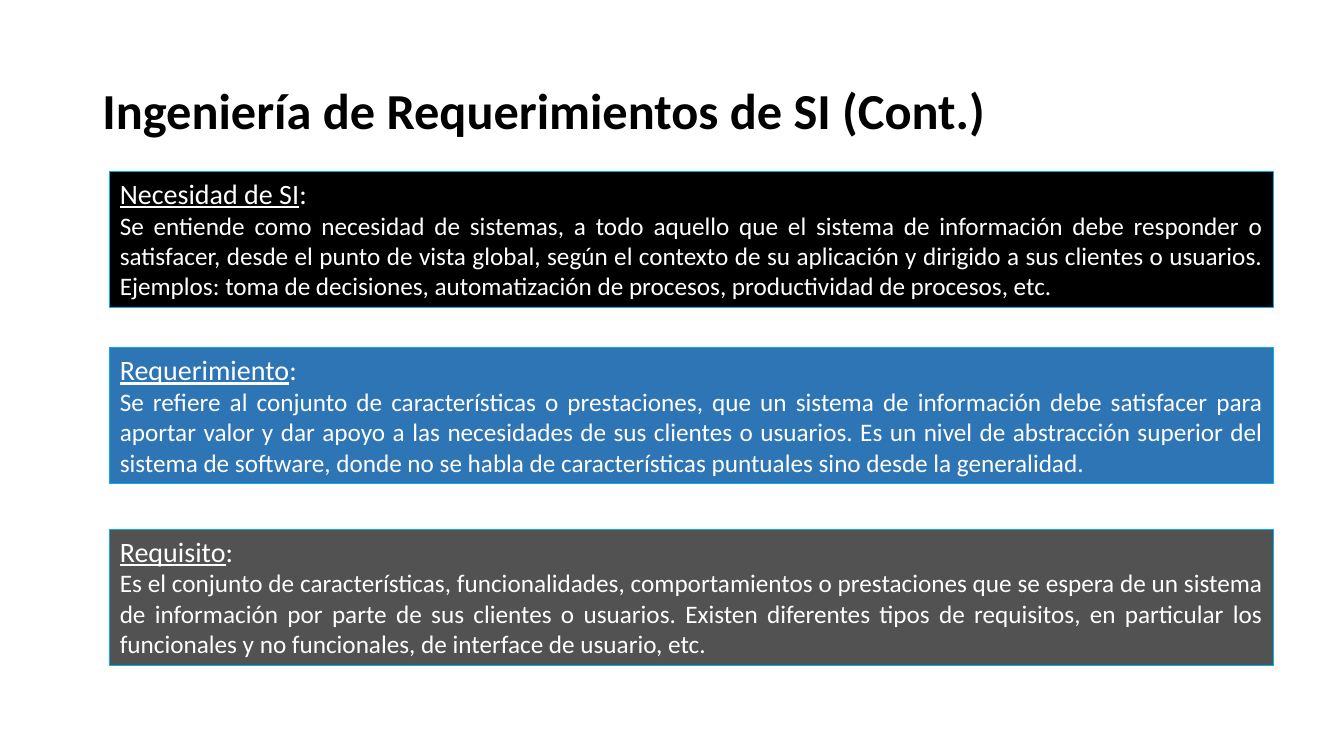
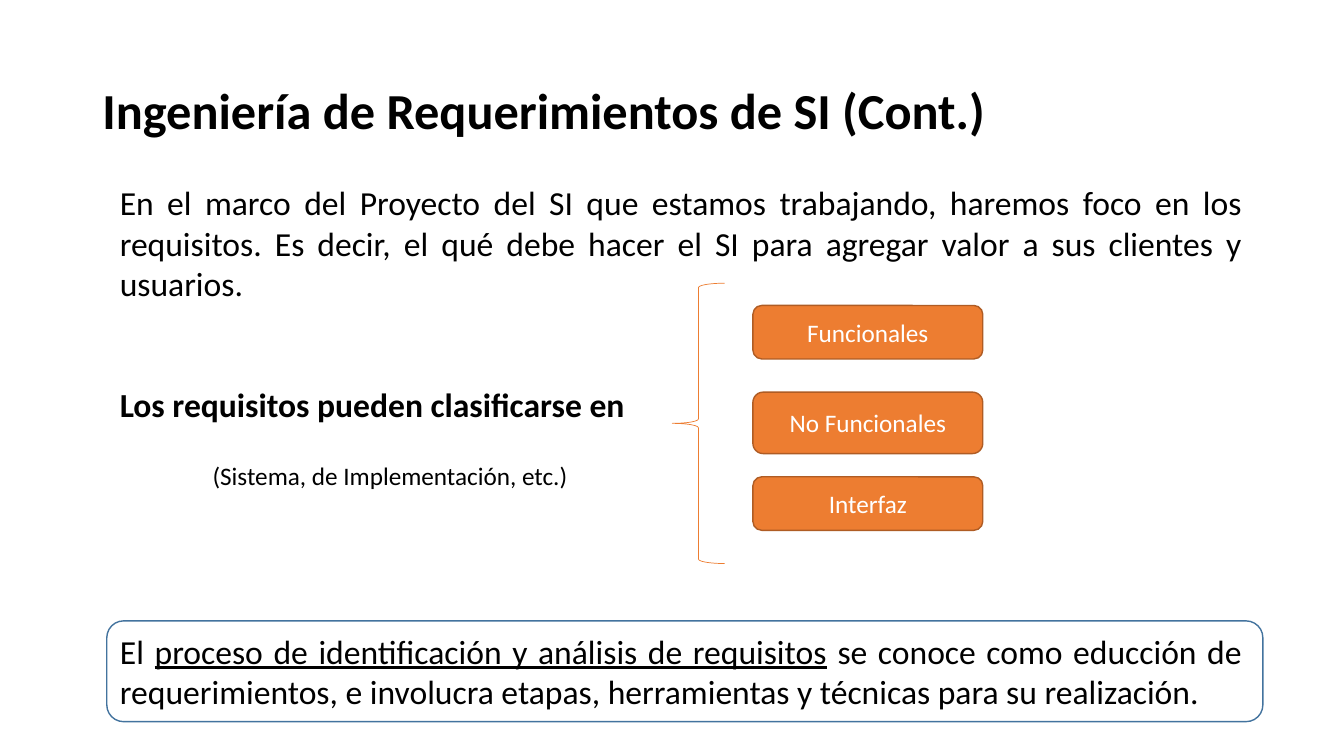
from dataclasses import dataclass

import pptx
import pptx.dml.color
import pptx.enum.shapes
import pptx.enum.text
import pptx.presentation
import pptx.shapes.autoshape
import pptx.slide
import pptx.util

Pt = pptx.util.Pt
ALIGN = pptx.enum.text.PP_ALIGN
ANCHOR = pptx.enum.text.MSO_ANCHOR
SHAPE = pptx.enum.shapes.MSO_SHAPE

FONT = "Calibri"
TITLE = "Ingeniería de Requerimientos de SI (Cont.)"
BLACK, WHITE = "000000", "FFFFFF"
BLUE, GRAY, CYAN = "2E75B6", "525252", "00B0F0"
ORANGE, RUST, STEEL = "ED7D31", "AF5C24", "43739E"


@dataclass(frozen=True)
class Box:
    left: float
    top: float
    width: float
    height: float


@dataclass(frozen=True)
class Run:
    text: str
    underline: bool = False


@dataclass(frozen=True)
class Para:
    runs: tuple[Run, ...]
    size: float
    color: str = BLACK
    align: ALIGN = ALIGN.JUSTIFY
    bold: bool = False


@dataclass(frozen=True)
class Definition:
    term: str
    text: str
    fill: str
    top: float


@dataclass(frozen=True)
class Category:
    label: str
    top: float
    height: float


DEFINITIONS = (
    Definition(
        "Necesidad de SI",
        "Se entiende como necesidad de sistemas, a todo aquello que el sistema de "
        "información debe responder o satisfacer, desde el punto de vista global, según "
        "el contexto de su aplicación y dirigido a sus clientes o usuarios. Ejemplos: "
        "toma de decisiones, automatización de procesos, productividad de procesos, etc.",
        BLACK, 122.4),
    Definition(
        "Requerimiento",
        "Se refiere al conjunto de características o prestaciones, que un sistema de "
        "información debe satisfacer para aportar valor y dar apoyo a las necesidades de "
        "sus clientes o usuarios. Es un nivel de abstracción superior del sistema de "
        "software, donde no se habla de características puntuales sino desde la generalidad.",
        BLUE, 248.4),
    Definition(
        "Requisito",
        "Es el conjunto de características, funcionalidades, comportamientos o prestaciones "
        "que se espera de un sistema de información por parte de sus clientes o usuarios. "
        "Existen diferentes tipos de requisitos, en particular los funcionales y no "
        "funcionales, de interface de usuario, etc.",
        GRAY, 378),
)

CATEGORIES = (
    Category("Funcionales", 218.2, 38.2),
    Category("No Funcionales", 280.1, 43.9),
    Category("Interfaz", 340.6, 38.2),
)


def rgb(color: str) -> pptx.dml.color.RGBColor:
    return pptx.dml.color.RGBColor.from_string(color)


def place(sp: pptx.shapes.autoshape.Shape, box: Box) -> None:
    sp.left, sp.top = Pt(box.left), Pt(box.top)
    sp.width, sp.height = Pt(box.width), Pt(box.height)


def write(sp: pptx.shapes.autoshape.Shape, paras: tuple[Para, ...],
          anchor: ANCHOR = ANCHOR.TOP) -> None:
    tf = sp.text_frame
    tf.word_wrap = True
    tf.auto_size = pptx.enum.text.MSO_AUTO_SIZE.NONE
    tf.vertical_anchor = anchor
    for i, para in enumerate(paras):
        p = tf.add_paragraph() if i else tf.paragraphs[0]
        p.alignment = para.align
        p.font.name, p.font.size, p.font.bold = FONT, Pt(para.size), para.bold
        p.font.color.rgb = rgb(para.color)
        for run in para.runs:
            r = p.add_run()
            r.text = run.text
            if run.underline:
                r.font.underline = True


def add_shape(s: pptx.slide.Slide, kind: SHAPE, box: Box, line: str, weight: float,
              fill: str | None = None) -> pptx.shapes.autoshape.Shape:
    sp = s.shapes.add_shape(kind, 0, 0, 0, 0)
    place(sp, box)
    sp.shadow.inherit = False
    sp.line.color.rgb, sp.line.width = rgb(line), Pt(weight)
    if fill:
        sp.fill.solid()
        sp.fill.fore_color.rgb = rgb(fill)
    else:
        sp.fill.background()
    return sp


def add_text(s: pptx.slide.Slide, box: Box, para: Para) -> None:
    sp = s.shapes.add_textbox(0, 0, 0, 0)
    place(sp, box)
    write(sp, (para,))


def add_slide(prs: pptx.presentation.Presentation) -> pptx.slide.Slide:
    s = prs.slides.add_slide(prs.slide_layouts[5])
    sp = s.shapes.title
    place(sp, Box(66, 28.8, 828, 104.4))
    write(sp, (Para((Run(TITLE),), 36, align=ALIGN.LEFT, bold=True),), ANCHOR.MIDDLE)
    sp.text_frame.paragraphs[0].line_spacing = 0.9
    return s


def build_definitions(prs: pptx.presentation.Presentation) -> None:
    s = add_slide(prs)
    for d in DEFINITIONS:
        sp = add_shape(s, SHAPE.RECTANGLE, Box(78.5, d.top, 830.9, 97.2), CYAN, 0.75, d.fill)
        write(sp, (
            Para((Run(d.term, True), Run(":")), 20, WHITE, ALIGN.LEFT),
            Para((Run(d.text),), 18, WHITE),
        ))


def build_classification(prs: pptx.presentation.Presentation) -> None:
    s = add_slide(prs)
    add_text(s, Box(78.5, 126.7, 815.8, 94), Para((Run(
        "En el marco del Proyecto del SI que estamos trabajando, haremos foco en los "
        "requisitos. Es decir, el qué debe hacer el SI para agregar valor a sus clientes "
        "y usuarios."),), 24))
    add_text(s, Box(78.5, 270.7, 390, 36),
             Para((Run("Los requisitos pueden clasificarse en"),), 24, bold=True))
    for c in CATEGORIES:
        sp = add_shape(s, SHAPE.ROUNDED_RECTANGLE, Box(537.8, c.top, 164.2, c.height),
                       RUST, 1, ORANGE)
        write(sp, (Para((Run(c.label),), 18, WHITE, ALIGN.CENTER),), ANCHOR.MIDDLE)
    add_shape(s, SHAPE.LEFT_BRACE, Box(480.2, 202.3, 37.4, 200.2), ORANGE, 0.5)
    sp = add_shape(s, SHAPE.ROUNDED_RECTANGLE, Box(76.3, 443.5, 825.8, 72), STEEL, 1)
    write(sp, (Para((
        Run("El "),
        Run("proceso de identificación y análisis de requisitos", True),
        Run(" se conoce como educción de requerimientos, e involucra etapas, "
            "herramientas y técnicas para su realización."),
    ), 24),))
    tf = sp.text_frame
    tf.margin_left, tf.margin_right = Pt(5.9), Pt(11.5)
    add_text(s, Box(90.7, 325.4, 375.8, 28.8),
             Para((Run("(Sistema, de Implementación, etc.)"),), 18, align=ALIGN.CENTER))


def main() -> None:
    prs = pptx.Presentation()
    prs.slide_width, prs.slide_height = Pt(960), Pt(540)
    build_definitions(prs)
    build_classification(prs)
    prs.save("out.pptx")


if __name__ == "__main__":
    main()
